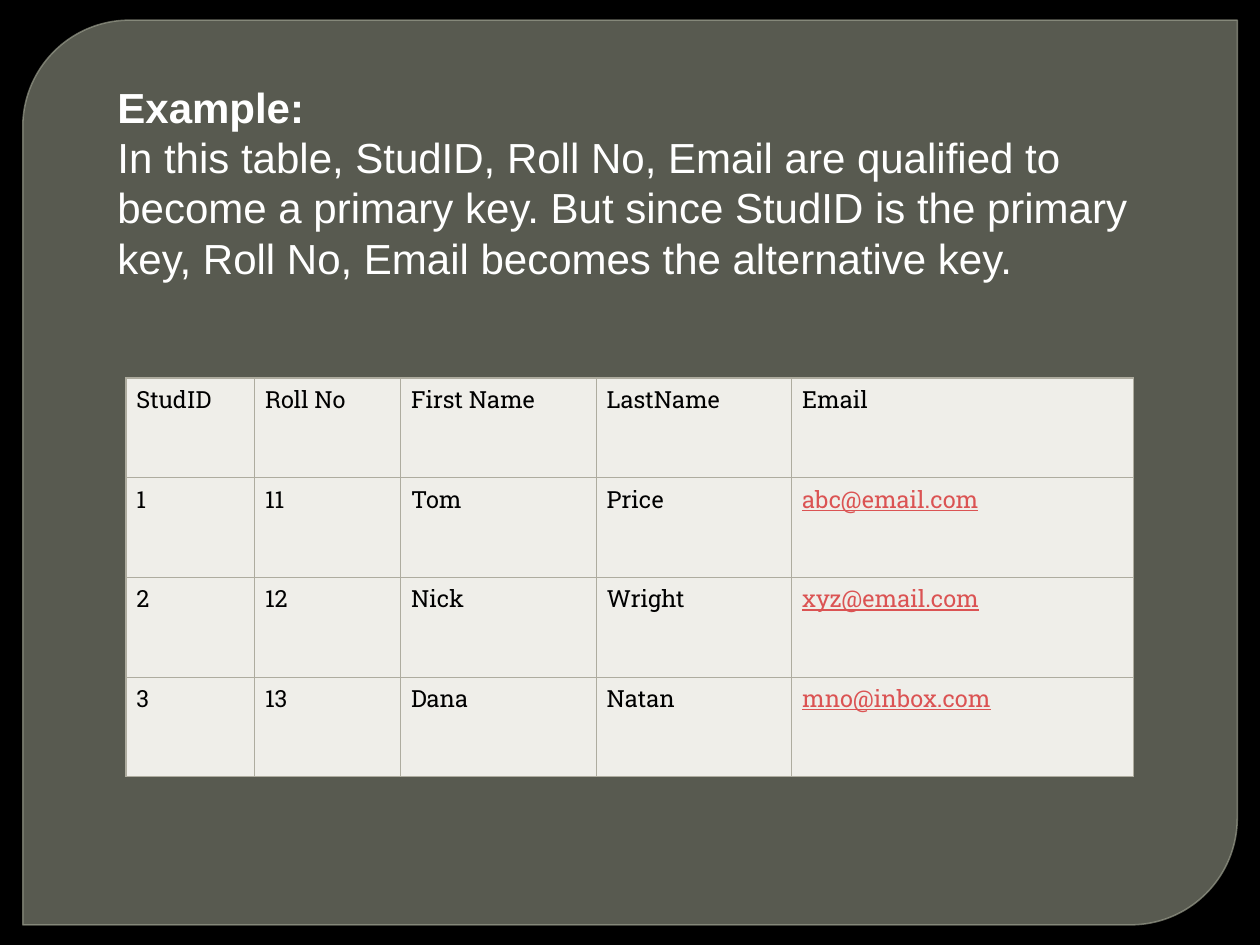
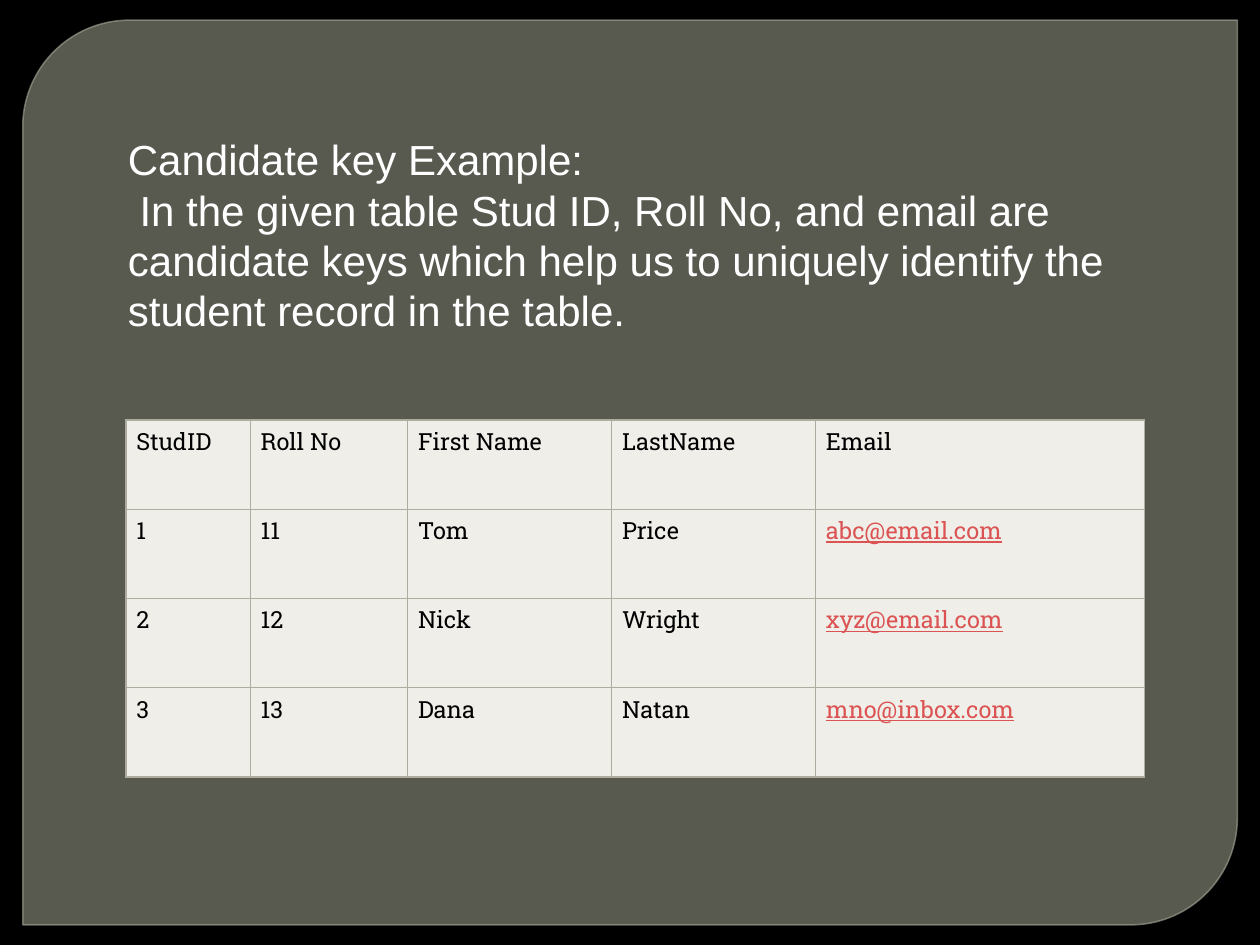
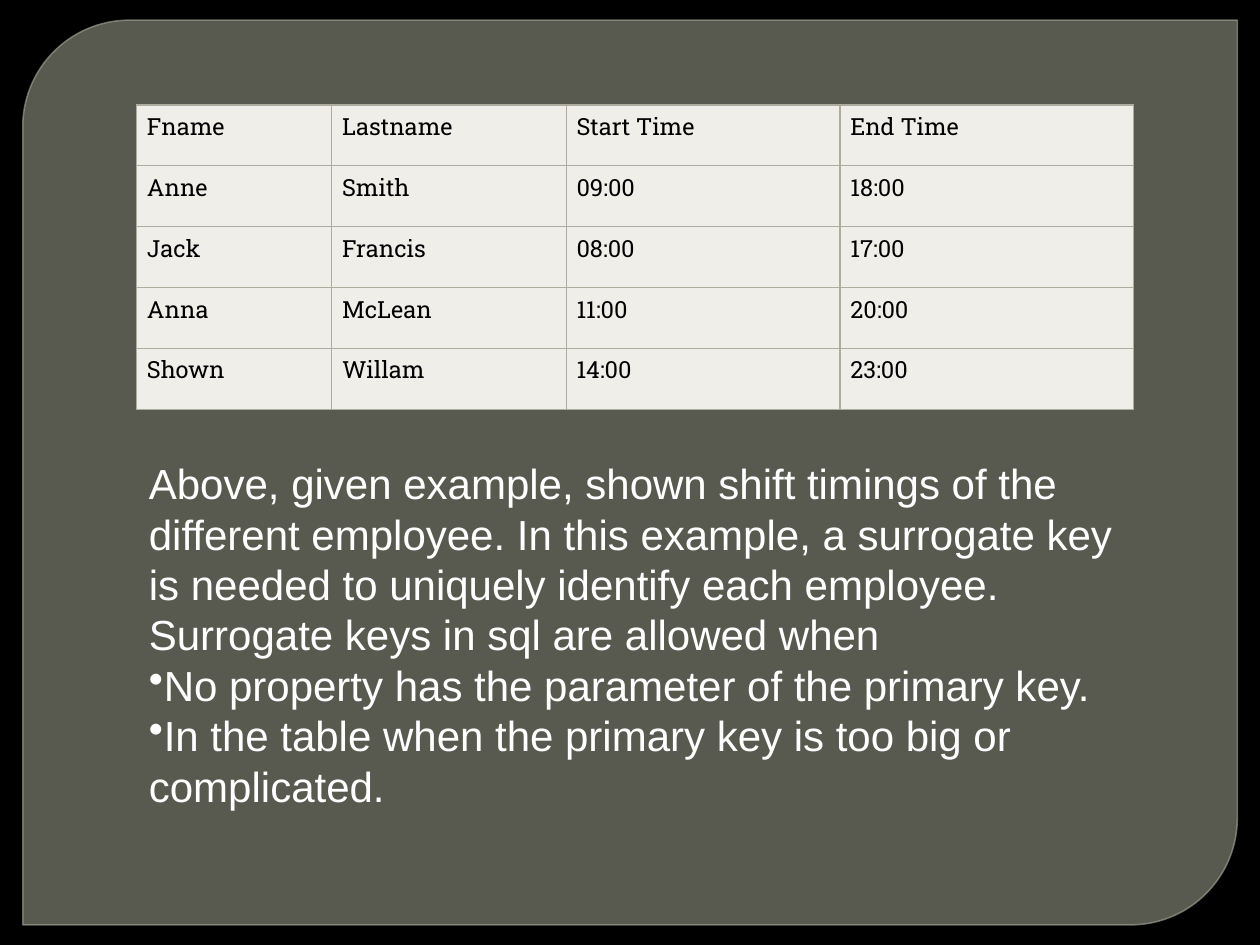
from dataclasses import dataclass

from lxml import etree
from pptx import Presentation
from pptx.dml.color import RGBColor
from pptx.enum import shapes, text
from pptx.oxml import ns
from pptx.util import Pt


@dataclass(frozen=True)
class Theme:
    """Colours, fonts and sizes shared by the slides."""
    back: str = "000000"
    panel: str = "888B7B"
    panel_line: str = "9DA090"
    cell: str = "EFEEE9"
    border: str = "AEAC9F"
    ink: str = "000000"
    link: str = "DB5353"
    body: str = "FFFFFF"
    body_font: str = "Arial"
    cell_font: str = "Roboto Slab"
    body_size: float = 24
    cell_size: float = 13.5
    cell_line: float = 15
    cell_inset: float = 6
    border_width: float = 0.75


T = Theme()
PANEL_BOX = (13, 11.5, 694, 517)
STUDENTS = [
    ["StudID", "Roll No", "First Name", "LastName", "Email"],
    ["1", "11", "Tom", "Price", "abc@email.com"],
    ["2", "12", "Nick", "Wright", "xyz@email.com"],
    ["3", "13", "Dana", "Natan", "mno@inbox.com"],
]
SHIFTS = [
    ["Fname", "Lastname", "Start Time", "End Time"],
    ["Anne", "Smith", "09:00", "18:00"],
    ["Jack", "Francis", "08:00", "17:00"],
    ["Anna", "McLean", "11:00", "20:00"],
    ["Shown", "Willam", "14:00", "23:00"],
]


def points(values):
    """Turn numbers into point lengths."""
    return [Pt(v) for v in values]


def sub(parent, tag, **attrs):
    """Append a DrawingML element and return it."""
    el = etree.SubElement(parent, ns.qn(tag))
    for name, value in attrs.items():
        el.set(name, str(value))
    return el


def paint(fill, colour, opacity=100):
    """Set a solid fill, with opacity in percent."""
    fill.solid()
    fill.fore_color.rgb = RGBColor.from_string(colour)
    if opacity < 100:
        for clr in fill._xPr.iter(ns.qn("a:srgbClr")):
            sub(clr, "a:alpha", val=opacity * 1000)


def write(p, words, size=T.body_size, font=T.body_font, colour=T.body,
          bold=False, underline=False, bullet=None, line=None, after=None):
    """Write one formatted paragraph."""
    if line:
        p.line_spacing = Pt(line)
    if after:
        p.space_after = Pt(after)
    if bullet:
        sub(p._p.get_or_add_pPr(), "a:buChar", char=bullet)
    r = p.add_run()
    r.text = words
    f = r.font
    f.size, f.name, f.bold, f.underline = Pt(size), font, bold, underline
    f.color.rgb = RGBColor.from_string(colour)


def add_panel(s, box):
    """Draw the translucent panel with two rounded corners."""
    sp = s.shapes.add_shape(shapes.MSO_SHAPE.ROUND_2_DIAG_RECTANGLE, *points(box))
    sp.adjustments[0], sp.adjustments[1] = 0.118, 0
    sp.shadow.inherit = False
    sp.line.width = Pt(0.87)
    paint(sp.line.fill, T.panel_line, 88)
    paint(sp.fill, T.panel, 65)


def add_body(s, box, paragraphs, anchor=text.MSO_ANCHOR.MIDDLE):
    """Place body text; each paragraph is (words, format)."""
    tf = s.shapes.add_textbox(*points(box)).text_frame
    tf.word_wrap = True
    tf.vertical_anchor = anchor
    for i, (words, style) in enumerate(paragraphs):
        write(tf.add_paragraph() if i else tf.paragraphs[0], words, **style)


def add_borders(cell):
    """Draw the four borders of a cell."""
    tcPr = cell._tc.get_or_add_tcPr()
    for side in ("L", "R", "T", "B"):
        ln = sub(tcPr, f"a:ln{side}", w=Pt(T.border_width))
        sub(sub(ln, "a:solidFill"), "a:srgbClr", val=T.border)


def add_grid(s, box, widths, rows):
    """Place a table with the given column widths and equal rows."""
    tbl = s.shapes.add_table(len(rows), len(widths), *points(box)).table
    tbl.first_row = tbl.horz_banding = False
    for column, width in zip(tbl.columns, widths):
        column.width = Pt(width)
    for i, row in enumerate(rows):
        tbl.rows[i].height = Pt(box[3] / len(rows))
        for j, words in enumerate(row):
            cell = tbl.cell(i, j)
            cell.margin_left = cell.margin_right = Pt(T.cell_inset)
            cell.margin_top = cell.margin_bottom = Pt(T.cell_inset)
            add_borders(cell)
            paint(cell.fill, T.cell)
            is_link = "@" in words
            write(cell.text_frame.paragraphs[0], words, size=T.cell_size,
                  font=T.cell_font, colour=T.link if is_link else T.ink,
                  underline=is_link, line=T.cell_line, after=T.cell_line)


def new_slide(prs):
    """Add a blank slide with the shared background and panel."""
    s = prs.slides.add_slide(prs.slide_layouts[6])
    paint(s.background.fill, T.back)
    add_panel(s, PANEL_BOX)
    return s


def alternative_key(prs):
    """Alternative key: text above the student table."""
    s = new_slide(prs)
    add_grid(s, (72, 216, 576, 228), (73.5, 83.5, 111.75, 111.75, 195.5), STUDENTS)
    add_body(s, (60, 42, 594, 124), [
        ("Example:", {"bold": True}),
        ("In this table, StudID, Roll No, Email are qualified to become a "
         "primary key. But since StudID is the primary key, Roll No, Email "
         "becomes the alternative key.", {}),
    ])


def candidate_key(prs):
    """Candidate key: text above the student table."""
    s = new_slide(prs)
    add_grid(s, (72, 240, 582, 204), (71, 90, 116.5, 116.5, 188), STUDENTS)
    add_body(s, (66, 72, 594, 124), [
        ("Candidate key Example:", {}),
        (" In the given table Stud ID, Roll No, and email are candidate keys "
         "which help us to uniquely identify the student record in the table.", {}),
    ])


def surrogate_key(prs):
    """Surrogate key: shift table above the text."""
    s = new_slide(prs)
    add_grid(s, (78, 60, 570, 174), (111.5, 134, 156.5, 168), SHIFTS)
    add_body(s, (78, 258, 570, 240), [
        ("Above, given example, shown shift timings of the different employee. "
         "In this example, a surrogate key is needed to uniquely identify each "
         "employee.", {}),
        ("Surrogate keys in sql are allowed when", {}),
        ("No property has the parameter of the primary key.", {"bullet": "•"}),
        ("In the table when the primary key is too big or complicated.",
         {"bullet": "•"}),
    ], anchor=text.MSO_ANCHOR.TOP)


def main():
    """Build the slides and save them."""
    prs = Presentation()
    prs.slide_width, prs.slide_height = Pt(720), Pt(540)
    for build in (alternative_key, candidate_key, surrogate_key):
        build(prs)
    prs.save("out.pptx")


main()
